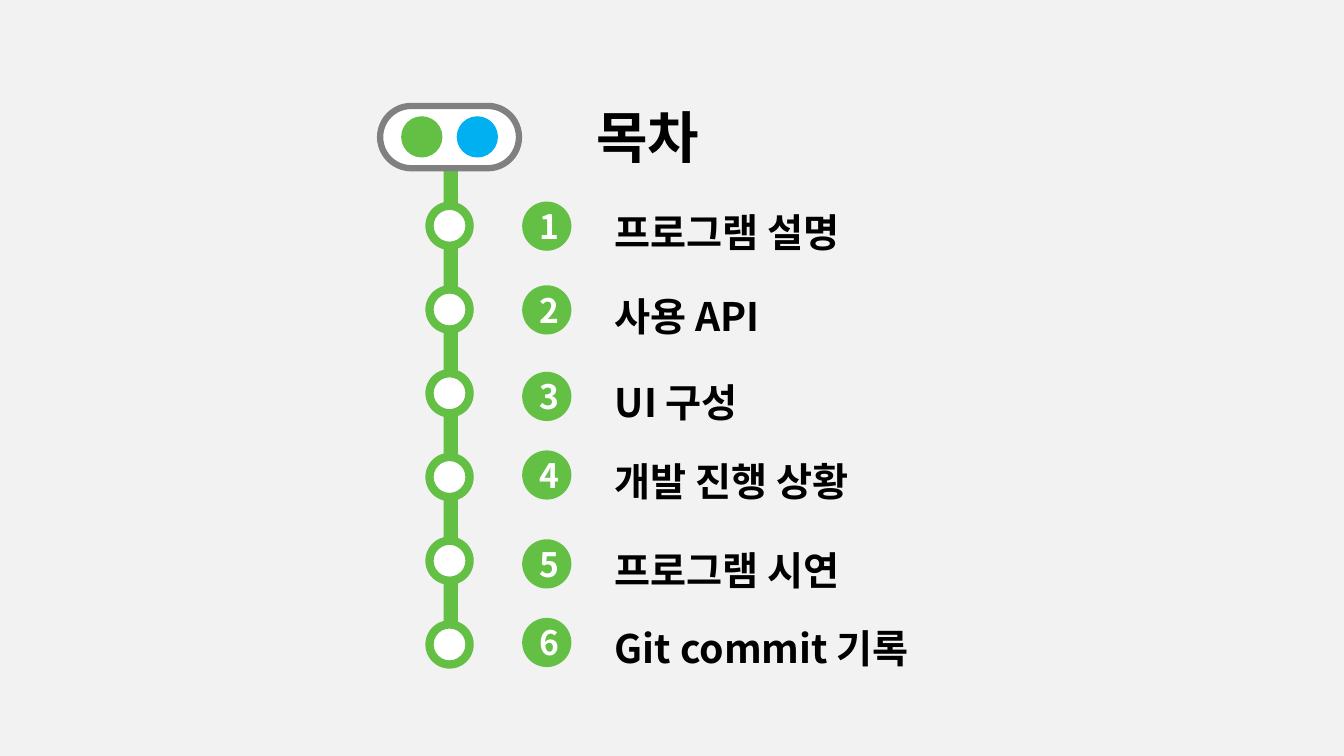
from lxml import etree
from pptx import Presentation
from pptx import util as u
from pptx.dml.color import RGBColor
from pptx.enum import shapes, text
from pptx.oxml.ns import qn

TITLE = "목차"
# Agenda entry and the top of its number badge in cm
AGENDA = [
    ("프로그램 설명", 5.08),
    ("사용 API", 7.19),
    ("UI 구성", 9.37),
    ("개발 진행 상황", 11.35),
    ("프로그램 시연", 13.59),
    ("Git commit 기록", 15.57),
]
COLORS = {
    "background": "F2F2F2",
    "green": "64C044",
    "blue": "00B0F0",
    "white": "FFFFFF",
    "gray": "808080",
    "black": "000000",
}
FONT = "Noto Sans CJK KR"
STATION_TOP, STATION_PITCH = 5.08, 2.11
LINE_HEIGHT = u.Pt(40)
KIND = shapes.MSO_SHAPE


def color(name):
    return RGBColor.from_string(COLORS[name])


def add_part(slide, kind, box, fill, adjustment=None):
    shape = slide.shapes.add_shape(kind, *map(u.Cm, box))
    shape.shadow.inherit = False
    shape.fill.solid()
    shape.fill.fore_color.rgb = color(fill)
    shape.line.fill.background()
    if adjustment is not None:
        shape.adjustments[0] = adjustment
    return shape


def write(paragraph, words, size, ink):
    run = paragraph.add_run()
    run.text = words
    for name, value in {"size": u.Pt(size), "bold": True, "name": FONT}.items():
        setattr(run.font, name, value)
    run.font.color.rgb = color(ink)
    properties = run.font._element
    etree.SubElement(properties, qn("a:ea"), typeface=FONT)


def place(placeholder, box, anchor):
    for name, value in zip(("left", "top", "width", "height"), box):
        setattr(placeholder, name, u.Cm(value))
    frame = placeholder.text_frame
    frame.auto_size = text.MSO_AUTO_SIZE.NONE
    frame.vertical_anchor = anchor
    return frame


def add_title(slide):
    frame = place(slide.shapes.title, (14.78, 2.46, 3.6, 1.96),
                  text.MSO_ANCHOR.MIDDLE)
    paragraph = frame.paragraphs[0]
    paragraph.alignment = text.PP_ALIGN.LEFT
    write(paragraph, TITLE, 40, "black")


def add_agenda(slide):
    frame = place(slide.placeholders[1], (15.24, 4.9, 11.25, 12.2),
                  text.MSO_ANCHOR.TOP)
    previous_top = None
    for index, (entry, top) in enumerate(AGENDA):
        paragraph = frame.add_paragraph() if index else frame.paragraphs[0]
        gap = u.Cm(top - previous_top) - LINE_HEIGHT if index else 0
        previous_top = top
        formats = {"line_spacing": LINE_HEIGHT, "space_before": u.Emu(gap),
                   "space_after": u.Pt(0), "alignment": text.PP_ALIGN.LEFT}
        for name, value in formats.items():
            setattr(paragraph, name, value)
        properties = paragraph._p.get_or_add_pPr()
        properties.set("marL", "0")
        properties.set("indent", "0")
        etree.SubElement(properties, qn("a:buNone"))
        write(paragraph, entry, 28, "black")


def add_badges(slide):
    for number, (_, top) in enumerate(AGENDA, 1):
        badge = add_part(slide, KIND.OVAL, (13.16, top, 1.24, 1.24), "green")
        frame = badge.text_frame
        frame.vertical_anchor = text.MSO_ANCHOR.MIDDLE
        frame.paragraphs[0].alignment = text.PP_ALIGN.CENTER
        write(frame.paragraphs[0], str(number), 24, "white")


def add_metro_line(slide):
    """Draw from the last station up, so each ring covers the rail below it."""
    for index in reversed(range(len(AGENDA))):
        top = STATION_TOP + index * STATION_PITCH
        add_part(slide, KIND.RECTANGLE, (11.18, top - 1.42, 0.36, 1.98), "green")
        add_part(slide, KIND.OVAL, (10.8, top + 0.02, 1.09, 1.09), "white")
        add_part(slide, KIND.DONUT, (10.72, top, 1.22, 1.22), "green", 0.172)
    sign = add_part(slide, KIND.ROUNDED_RECTANGLE, (9.58, 2.67, 3.5, 1.57),
                    "white", 0.5)
    sign.line.color.rgb = color("gray")
    sign.line.width = u.Pt(4.5)
    for left, fill in ((10.11, "green"), (11.51, "blue")):
        add_part(slide, KIND.OVAL, (left, 2.93, 1.04, 1.04), fill)


def main():
    presentation = Presentation()
    presentation.slide_width = u.Cm(33.87)
    presentation.slide_height = u.Cm(19.05)
    slide = presentation.slides.add_slide(presentation.slide_layouts[1])
    slide.background.fill.solid()
    slide.background.fill.fore_color.rgb = color("background")
    add_title(slide)
    add_agenda(slide)
    add_badges(slide)
    add_metro_line(slide)
    presentation.save("out.pptx")


if __name__ == "__main__":
    main()
